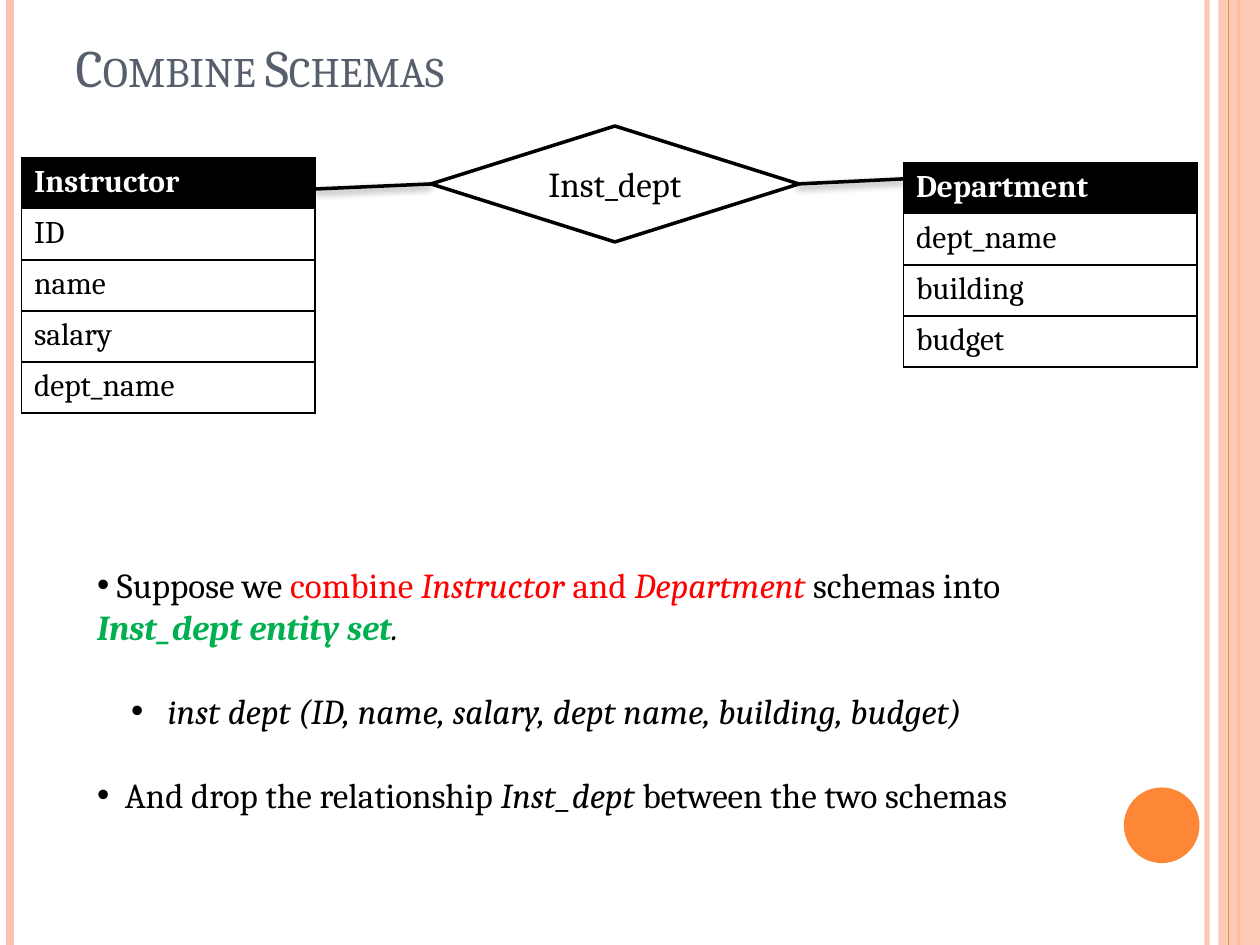
from lxml import etree
from pptx import Presentation
from pptx.dml.color import RGBColor
from pptx.enum import shapes as es, text as et
from pptx.oxml.ns import qn
from pptx.util import Inches, Pt

FONT = "Cambria"
BLACK = RGBColor(0, 0, 0)
WHITE = RGBColor(255, 255, 255)
SLATE = RGBColor(0x57, 0x5F, 0x6D)
PEACH = RGBColor(0xFE, 0xC3, 0xAE)
ORANGE = RGBColor(0xFE, 0x86, 0x37)
RED = RGBColor(255, 0, 0)
GREEN = RGBColor(0, 0xB0, 0x50)


def add_run(para, text, size=20, color=BLACK, bold=False, italic=False, caps=False):
    run = para.add_run()
    run.text = text
    font = run.font
    font.name, font.size = FONT, Pt(size)
    font.bold, font.italic = bold, italic
    font.color.rgb = color
    if caps:
        run._r.get_or_add_rPr().set("cap", "small")


def set_alpha(fill, pct):
    clr = fill.find(".//" + qn("a:srgbClr"))
    etree.SubElement(clr, qn("a:alpha")).set("val", str(pct * 1000))


def add_line(slide, start, end, color, width, alpha=None, shadow=False):
    ends = [Inches(v) for v in (*start, *end)]
    line = slide.shapes.add_connector(es.MSO_CONNECTOR.STRAIGHT, *ends)
    line.line.color.rgb, line.line.width = color, Pt(width)
    props = line._element.spPr
    if alpha:
        set_alpha(props.find(qn("a:ln")), alpha)
    fx = etree.SubElement(props, qn("a:effectLst"))
    if shadow:
        drop = etree.SubElement(fx, qn("a:outerShdw"), blurRad=str(Pt(4)),
                                dist=str(Pt(2)), dir="5400000", rotWithShape="0")
        clr = etree.SubElement(drop, qn("a:srgbClr"), val="000000")
        etree.SubElement(clr, qn("a:alpha"), val="40000")


def add_shape(slide, kind, box, fill, line=None, alpha=None):
    shape = slide.shapes.add_shape(kind, *[Inches(v) for v in box])
    shape.shadow.inherit = False
    shape.fill.solid()
    shape.fill.fore_color.rgb = fill
    if alpha:
        set_alpha(shape._element.spPr.find(qn("a:solidFill")), alpha)
    if line:
        shape.line.color.rgb, shape.line.width = BLACK, Pt(line)
    else:
        shape.line.fill.background()
    return shape


def set_border(cell):
    props = cell._tc.get_or_add_tcPr()
    for i, side in enumerate("LRTB"):
        edge = etree.Element(qn("a:ln" + side), w=str(Pt(1)))
        fill = etree.SubElement(edge, qn("a:solidFill"))
        etree.SubElement(fill, qn("a:srgbClr"), val=str(BLACK))
        props.insert(i, edge)


def add_entity(slide, left, top, names):
    high = 0.406
    frame = slide.shapes.add_table(len(names), 1, Inches(left), Inches(top),
                                   Inches(2.33), Inches(high * len(names)))
    table = frame.table
    table.horz_banding = False
    for i, name in enumerate(names):
        head = i == 0
        table.rows[i].height = Inches(high)
        cell = table.cell(i, 0)
        cell.fill.solid()
        cell.fill.fore_color.rgb = BLACK if head else WHITE
        set_border(cell)
        add_run(cell.text_frame.paragraphs[0], name, size=18, bold=head,
                color=WHITE if head else BLACK)


def place(holder, box):
    holder.left, holder.top, holder.width, holder.height = [Inches(v) for v in box]
    frame = holder.text_frame
    frame.word_wrap = True
    frame.auto_size = et.MSO_AUTO_SIZE.NONE
    return frame


def add_item(para, runs, left=0, hang=0, before=0):
    props = para._p.get_or_add_pPr()
    props.set("marL", str(Inches(left)))
    props.set("indent", str(-Inches(hang)))
    etree.SubElement(props, qn("a:buFont"), typeface="Arial")
    etree.SubElement(props, qn("a:buChar"), char="•")
    para.space_before = Pt(before)
    for text, form in runs:
        add_run(para, text, **form)


def add_frame(slide):
    for x, color, width, alpha in ((9.58, PEACH, 3, 93), (0.08, PEACH, 4.5, None),
                                   (9.83, ORANGE, 1.5, None)):
        add_line(slide, (x, 0), (x, 7.5), color, width, alpha)
    add_shape(slide, es.MSO_SHAPE.RECTANGLE, (9.67, 0, 0.33, 7.5), PEACH, alpha=87)
    add_line(slide, (9.75, 0), (9.75, 7.5), ORANGE, 0.75)
    add_shape(slide, es.MSO_SHAPE.OVAL, (8.92, 6.25, 0.6, 0.6), ORANGE)


def main():
    deck = Presentation()
    deck.slide_width, deck.slide_height = Inches(10), Inches(7.5)
    slide = deck.slides.add_slide(deck.slide_layouts[1])
    title, body = slide.placeholders
    add_frame(slide)

    # Title
    frame = place(title, (0.5, 0.05, 8.17, 0.78))
    frame.vertical_anchor = et.MSO_ANCHOR.BOTTOM
    frame.paragraphs[0].alignment = et.PP_ALIGN.LEFT
    add_run(frame.paragraphs[0], "Combine Schemas", size=30, color=SLATE, caps=True)

    # Entities and their relationship
    add_entity(slide, 0.17, 1.25, ["Instructor", "ID", "name", "salary", "dept_name"])
    add_entity(slide, 7.17, 1.29, ["Department", "dept_name", "building", "budget"])
    link = add_shape(slide, es.MSO_SHAPE.FLOWCHART_DECISION,
                     (3.42, 1, 2.92, 0.92), WHITE, line=2)
    link.text_frame.vertical_anchor = et.MSO_ANCHOR.MIDDLE
    para = link.text_frame.paragraphs[0]
    para.alignment = et.PP_ALIGN.CENTER
    add_run(para, "Inst_dept")
    add_line(slide, (2.5, 1.5), (3.42, 1.46), BLACK, 2, shadow=True)
    add_line(slide, (6.33, 1.46), (7.17, 1.42), BLACK, 2, shadow=True)

    # Explanation
    slant = {"italic": True}
    red = {"color": RED}
    items = [
        ([(" Suppose we ", {}), ("combine ", red), ("Instructor ", red | slant),
          ("and ", red), ("Department ", red | slant), ("schemas into ", {}),
          ("Inst_dept entity set", {"color": GREEN, "bold": True} | slant),
          (".", slant)], 0, 0),
        ([("inst dept (ID, name, salary, dept name, building, budget)", slant)],
         0.56, 0.29),
        ([("And drop the relationship ", {}), ("Inst_dept ", slant),
          ("between the two schemas", {})], 0.22, 0.22),
    ]
    frame = place(body, (0.67, 4.42, 8.17, 2.46))
    for i, (runs, left, hang) in enumerate(items):
        para = frame.add_paragraph() if i else frame.paragraphs[0]
        add_item(para, runs, left, hang, before=24 if i else 0)

    deck.save("out.pptx")


if __name__ == "__main__":
    main()
